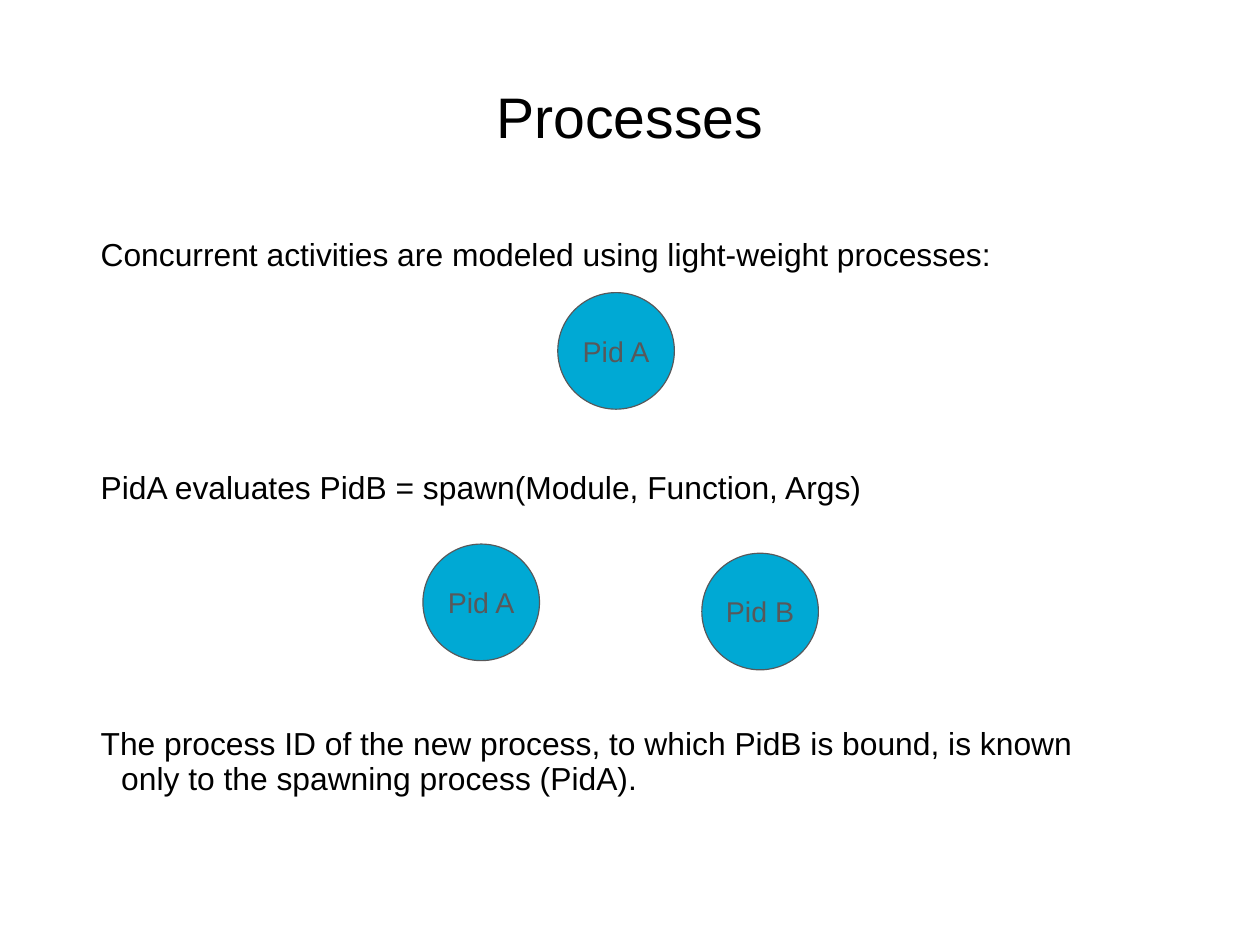
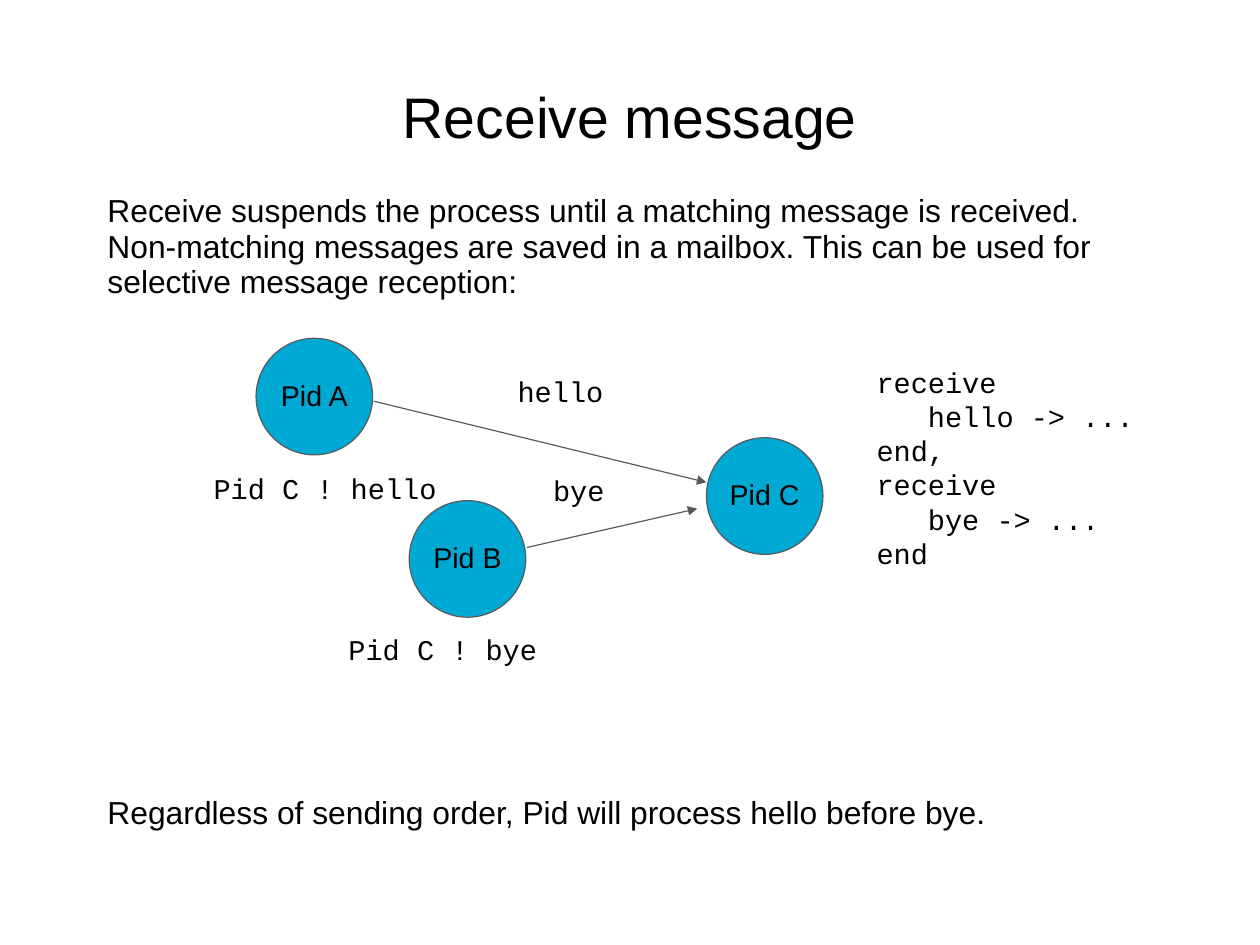
"""Build two slides on concurrent processes and selective message reception."""
from pptx import Presentation
from pptx.dml.color import RGBColor
from pptx.enum import shapes, text
from pptx.oxml.ns import qn
from pptx.util import Cm, Inches, Pt

BLACK = RGBColor(0x00, 0x00, 0x00)
GREY = RGBColor(0x58, 0x58, 0x5A)
CYAN = RGBColor(0x00, 0xA9, 0xD4)
SANS, MONO = "Arial", "Courier New"
LEADING = 0.93
DIAMETER = 1.02
CHAR_WIDTH = 0.15
MIDDLE, TOP = text.MSO_ANCHOR.MIDDLE, text.MSO_ANCHOR.TOP


def set_frame(frame, anchor, left, top, right, bottom, wrap=True):
    frame.auto_size = text.MSO_AUTO_SIZE.NONE
    frame.word_wrap = wrap
    frame.vertical_anchor = anchor
    frame.margin_left, frame.margin_top = Inches(left), Inches(top)
    frame.margin_right, frame.margin_bottom = Inches(right), Inches(bottom)


def set_font(paragraph, name, size, color):
    paragraph.font.name = name
    paragraph.font.size = Pt(size)
    paragraph.font.color.rgb = color


pages = [
    {
        "title": "Processes",
        "box": (0.87, 2.08, 9.13, 5.46),
        "frame": (TOP, 0, 0, 0.14, 0),
        "indent": (0.19, -0.18),
        "body": [
            ("Concurrent activities are modeled using light-weight processes:", 4.5),
            ("PidA evaluates PidB = spawn(Module, Function, Args)", 125),
            ("The process ID of the new process, to which PidB is bound, is known "
             "only to the spawning process (PidA).", 138.5),
        ],
        "label_color": GREY,
        "label_leading": 1.0,
        "processes": [("Pid A", 4.88, 2.56), ("Pid A", 3.7, 4.76), ("Pid B", 6.14, 4.84)],
        "messages": [],
        "code": [],
    },
    {
        "title": "Receive message",
        "box": (0.94, 1.68, 8.97, 5.6),
        "frame": (MIDDLE, 0, 0.02, 0, 0),
        "indent": (0.38, -0.38),
        "body": [
            ("Receive suspends the process until a matching message is received.", 0),
            ("Non-matching messages are saved in a mailbox. This can be used for", 0),
            ("selective message reception:", 0),
            ("Regardless of sending order, Pid will process hello before bye.", 312),
        ],
        "label_color": BLACK,
        "label_leading": LEADING,
        "processes": [("Pid A", 2.24, 2.96), ("Pid C", 6.18, 3.83), ("Pid B", 3.58, 4.38)],
        "messages": [(3.27, 3.51, 6.18, 4.22), (4.61, 4.79, 6.1, 4.45)],
        "code": [
            (4.43, 3.22, [("hello", 0)]),
            (4.74, 4.09, [("bye", 0)]),
            (1.77, 4.07, [("Pid C ! hello", 0)]),
            (2.95, 5.48, [("Pid C ! bye", 0)]),
            (7.57, 3.14, [("receive", 0), ("hello -> ...", 3), ("end,", 0),
                          ("receive", 0), ("bye -> ...", 3), ("end", 0)]),
        ],
    },
]

prs = Presentation()
prs.slide_width = Cm(28)
prs.slide_height = Cm(21)

for page in pages:
    slide = prs.slides.add_slide(prs.slide_layouts[1])
    title, body = slide.shapes.title, slide.placeholders[1]

    title.left, title.top = Inches(0.55), Inches(0.33)
    title.width, title.height = Inches(9.92), Inches(1.38)
    title.text_frame.text = page["title"]
    set_frame(title.text_frame, MIDDLE, 0, 0.04, 0, 0)
    heading = title.text_frame.paragraphs[0]
    heading.alignment = text.PP_ALIGN.CENTER
    heading.line_spacing = LEADING
    set_font(heading, SANS, 36, BLACK)

    body.left, body.top, body.width, body.height = map(Inches, page["box"])
    body.text_frame.text = "\n".join(line for line, _ in page["body"])
    set_frame(body.text_frame, *page["frame"])
    margin, hanging = map(Inches, page["indent"])
    for paragraph, (_, gap) in zip(body.text_frame.paragraphs, page["body"]):
        paragraph.line_spacing = LEADING
        paragraph.space_before = Pt(gap)
        set_font(paragraph, SANS, 20, BLACK)
        properties = paragraph._p.get_or_add_pPr()
        properties.set("marL", str(margin))
        properties.set("indent", str(hanging))
        properties.insert_element_before(
            properties.makeelement(qn("a:buNone"), {}), "a:tabLst", "a:defRPr", "a:extLst")

    for label, left, top in page["processes"]:
        process = slide.shapes.add_shape(
            shapes.MSO_SHAPE.OVAL, Inches(left), Inches(top), Inches(DIAMETER), Inches(DIAMETER))
        process.shadow.inherit = False
        process.fill.solid()
        process.fill.fore_color.rgb = CYAN
        process.line.color.rgb = GREY
        process.line.width = Pt(0.75)
        process.text_frame.text = label
        set_frame(process.text_frame, MIDDLE, 0.1, 0.05, 0.1, 0.05, wrap=False)
        caption = process.text_frame.paragraphs[0]
        caption.alignment = text.PP_ALIGN.CENTER
        caption.line_spacing = page["label_leading"]
        set_font(caption, SANS, 18, page["label_color"])

    for ends in page["messages"]:
        message = slide.shapes.add_connector(shapes.MSO_CONNECTOR.STRAIGHT, *map(Inches, ends))
        message.line.color.rgb = GREY
        message.line.width = Pt(0.75)
        outline = message.line._get_or_add_ln()
        outline.append(outline.makeelement(qn("a:tailEnd"), {"type": "triangle"}))
        drawing = message._element.spPr
        drawing.append(drawing.makeelement(qn("a:effectLst"), {}))

    for left, top, lines in page["code"]:
        width = 0.2 + CHAR_WIDTH * max(len(line) + depth for line, depth in lines)
        code = slide.shapes.add_textbox(
            Inches(left), Inches(top), Inches(width), Inches(0.1 + 0.3 * len(lines)))
        code.text_frame.text = "\n".join(line for line, _ in lines)
        set_frame(code.text_frame, TOP, 0.1, 0.05, 0.1, 0.05, wrap=False)
        for paragraph, (_, depth) in zip(code.text_frame.paragraphs, lines):
            paragraph._p.get_or_add_pPr().set("marL", str(Inches(CHAR_WIDTH * depth)))
            set_font(paragraph, MONO, 18, BLACK)

prs.save("out.pptx")
